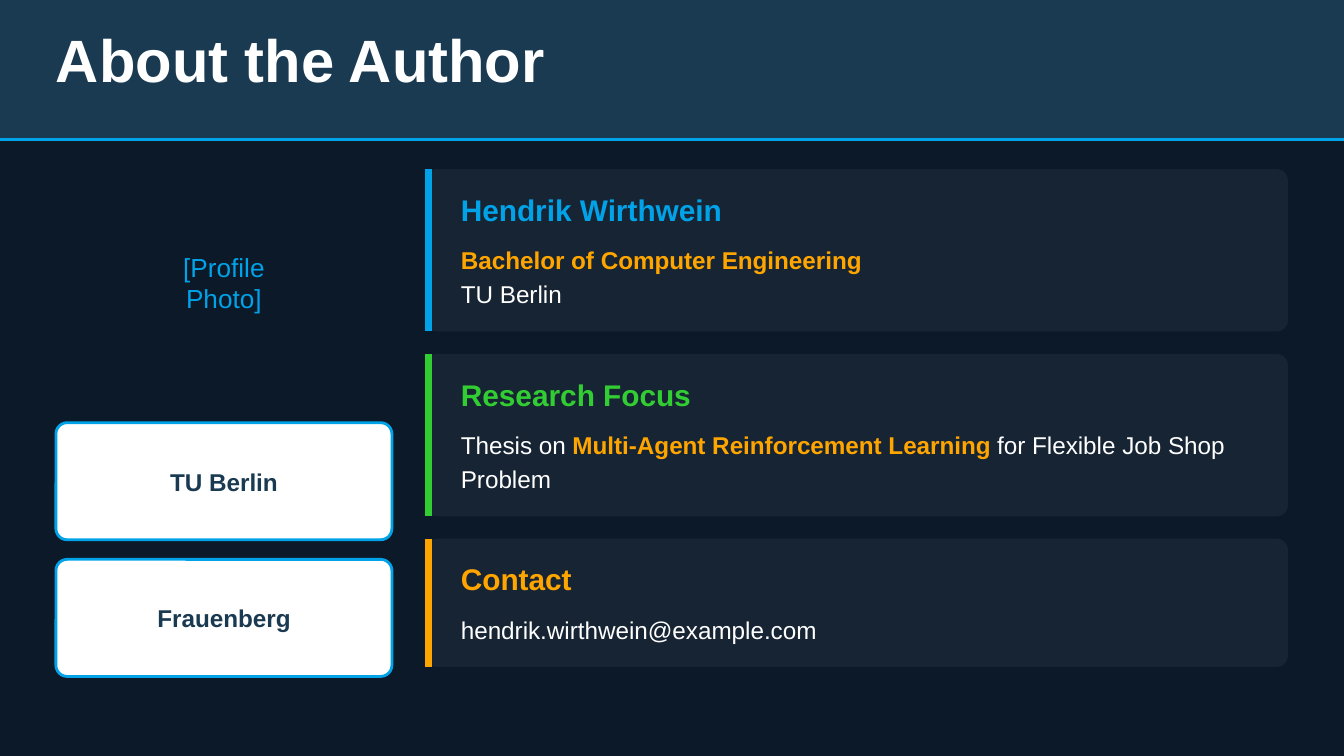
from dataclasses import dataclass

import pptx
import pptx.dml.color
import pptx.enum.shapes
import pptx.enum.text
import pptx.oxml
import pptx.oxml.ns
import pptx.util
from lxml import etree

COLUMNS, ROWS = 120, 67.5
SLIDE_WIDTH, SLIDE_HEIGHT = pptx.util.Inches(10), pptx.util.Inches(5.625)
SHAPES = pptx.enum.shapes.MSO_SHAPE
LEFT, CENTER = pptx.enum.text.PP_ALIGN.LEFT, pptx.enum.text.PP_ALIGN.CENTER

NIGHT, NAVY, WHITE = "0B1929", "1A3A52", "FFFFFF"
BLUE, GREEN, ORANGE = "00A2E8", "32CD32", "FFA500"

LINE_ROWS = 3.05
CARD_GAP = 2


@dataclass
class Box:
    """Place and size in grid columns and rows."""
    left: float
    top: float
    width: float
    height: float


@dataclass
class Run:
    text: str
    color: str = WHITE
    bold: bool = False
    size: int = 13


@dataclass
class BodyText:
    runs: list[Run]
    lines: int = 1


@dataclass
class Card:
    heading: str
    accent: str
    body: list[BodyText]


@dataclass
class Badge:
    name: str
    label_width: float


def x(columns: float) -> int:
    return round(SLIDE_WIDTH * columns / COLUMNS)


def y(rows: float) -> int:
    return round(SLIDE_HEIGHT * rows / ROWS)


def rgb(color: str) -> pptx.dml.color.RGBColor:
    return pptx.dml.color.RGBColor.from_string(color)


def place(box: Box) -> tuple[int, int, int, int]:
    return x(box.left), y(box.top), x(box.width), y(box.height)


def add_panel(slide, box: Box, fill: str, outline: str = "", rounded: bool = True,
              opacity: int = 100) -> None:
    """Draw a filled panel; rounded corners have a radius of one grid cell."""
    kind = SHAPES.ROUNDED_RECTANGLE if rounded else SHAPES.RECTANGLE
    panel = slide.shapes.add_shape(kind, *place(box))
    panel.shadow.inherit = False
    if rounded:
        panel.adjustments[0] = 1 / box.height
    panel.fill.solid()
    panel.fill.fore_color.rgb = rgb(fill)
    if opacity < 100:
        tint = panel._element.spPr.find(".//" + pptx.oxml.ns.qn("a:srgbClr"))
        etree.SubElement(tint, pptx.oxml.ns.qn("a:alpha"), val=str(opacity * 1000))
    if outline:
        panel.line.color.rgb = rgb(outline)
        panel.line.width = pptx.util.Pt(1.5)
    else:
        panel.line.fill.background()


def add_rule(slide, start: tuple[float, float], end: tuple[float, float],
             color: str, points: float) -> None:
    rule = slide.shapes.add_connector(
        pptx.enum.shapes.MSO_CONNECTOR.STRAIGHT,
        x(start[0]), y(start[1]), x(end[0]), y(end[1]))
    rule.line.color.rgb = rgb(color)
    rule.line.width = pptx.util.Pt(points)
    etree.SubElement(rule._element.spPr, pptx.oxml.ns.qn("a:effectLst"))


def add_text(slide, box: Box, runs: list[Run], inset: float = 0,
             **paragraph_format) -> None:
    frame = slide.shapes.add_textbox(*place(box)).text_frame
    frame.word_wrap = True
    for side in ("left", "top", "right", "bottom"):
        setattr(frame, f"margin_{side}", x(inset))
    paragraph = frame.paragraphs[0]
    for name, value in ({"alignment": LEFT} | paragraph_format).items():
        setattr(paragraph, name, value)
    for part in runs:
        run = paragraph.add_run()
        run.text = part.text
        run.font.color.rgb = rgb(part.color)
        font_format = {"name": "Arial", "size": pptx.util.Pt(part.size), "bold": part.bold}
        for name, value in font_format.items():
            setattr(run.font, name, value)


def add_badge(slide, badge: Badge, box: Box) -> None:
    add_panel(slide, box, WHITE, outline=BLUE)
    label_height = 2.6
    label = Box(box.left + (box.width - badge.label_width) / 2,
                box.top + (box.height - label_height) / 2,
                badge.label_width, label_height)
    add_text(slide, label, [Run(badge.name, NAVY, True)], alignment=CENTER)


def add_card(slide, card: Card, top: float) -> float:
    """Draw a card as tall as its body needs and return its bottom row."""
    left, width, text_left, text_width = 38, 77, 41.15, 72.8
    heading_offset, body_offset = 2, 6.4
    lines = sum(text.lines for text in card.body)
    height = body_offset + lines * LINE_ROWS + 2
    add_panel(slide, Box(left, top, width, height), WHITE, opacity=5)
    bar = left + 0.3
    add_rule(slide, (bar, top), (bar, top + height), card.accent, 3.75)
    add_text(slide, Box(text_left, top + heading_offset, text_width, 3.1),
             [Run(card.heading, card.accent, True, 16)], space_after=pptx.util.Pt(8))
    line_top = top + body_offset
    for text in card.body:
        text_height = text.lines * LINE_ROWS
        add_text(slide, Box(text_left, line_top, text_width, text_height), text.runs,
                 line_spacing=pptx.util.Pt(18.2))
        line_top += text_height
    return top + height


BADGES = [Badge("TU Berlin", 11), Badge("Frauenberg", 15)]
CARDS = [
    Card("Hendrik Wirthwein", BLUE, [
        BodyText([Run("Bachelor of Computer Engineering", ORANGE, True)]),
        BodyText([Run("TU Berlin")]),
    ]),
    Card("Research Focus", GREEN, [
        BodyText([Run("Thesis on "),
                  Run("Multi-Agent Reinforcement Learning", ORANGE, True),
                  Run(" for Flexible Job Shop Problem")], lines=2),
    ]),
    Card("Contact", ORANGE, [BodyText([Run("hendrik.wirthwein@example.com")])]),
]


def main() -> None:
    deck = pptx.Presentation()
    deck.slide_width, deck.slide_height = SLIDE_WIDTH, SLIDE_HEIGHT
    slide = deck.slides.add_slide(deck.slide_layouts[6])
    slide.background.fill.solid()
    slide.background.fill.fore_color.rgb = rgb(NIGHT)

    add_panel(slide, Box(0, 0, COLUMNS, 12.6), NAVY, rounded=False)
    add_rule(slide, (0, 12.45), (COLUMNS, 12.45), BLUE, 1.5)
    add_text(slide, Box(5, 2, 112.2, 6.1), [Run("About the Author", WHITE, True, 32)])

    add_text(slide, Box(9.8, 19.6, 20.4, 12.1), [Run("[Profile Photo]", BLUE, size=14)],
             inset=3.35, alignment=CENTER)
    for row, badge in enumerate(BADGES):
        add_badge(slide, badge, Box(5, 37.75 + row * 12.2, 30, 10.45))

    top = 15.1
    for card in CARDS:
        top = add_card(slide, card, top) + CARD_GAP

    deck.save("out.pptx")


if __name__ == "__main__":
    main()
